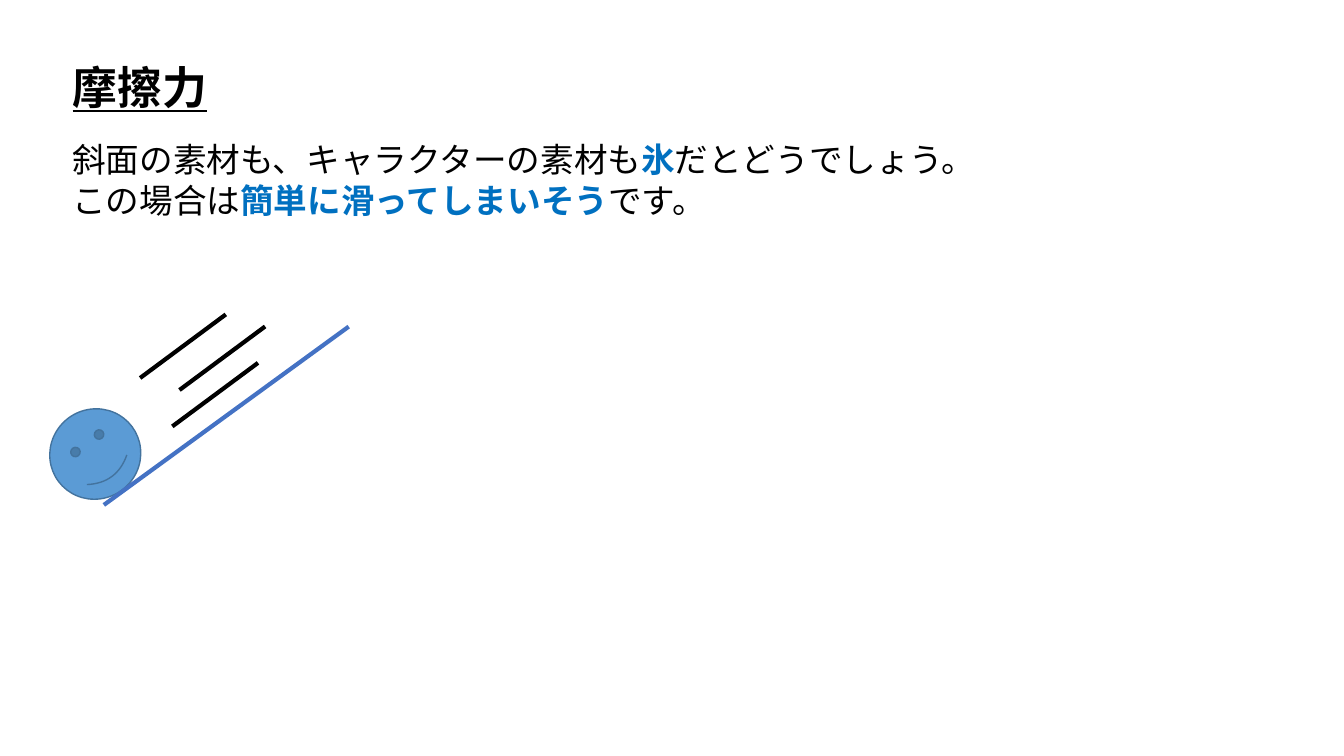
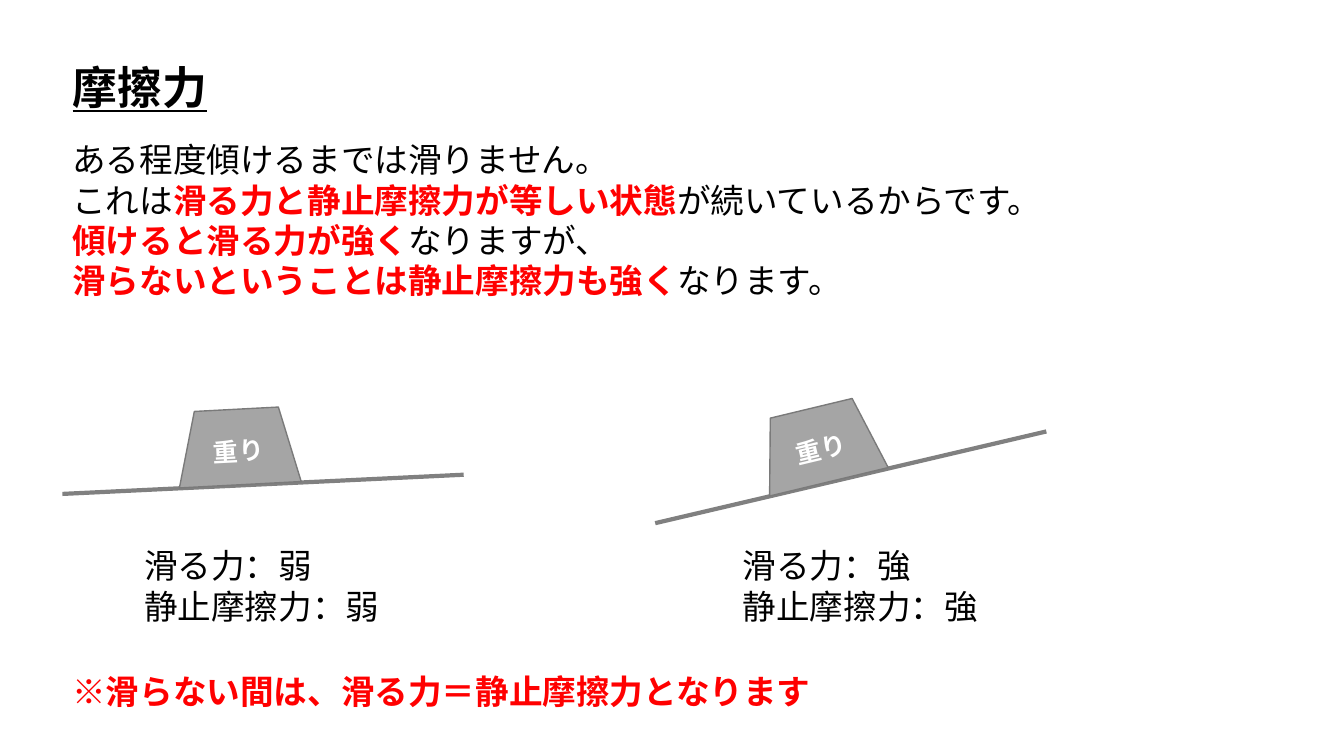
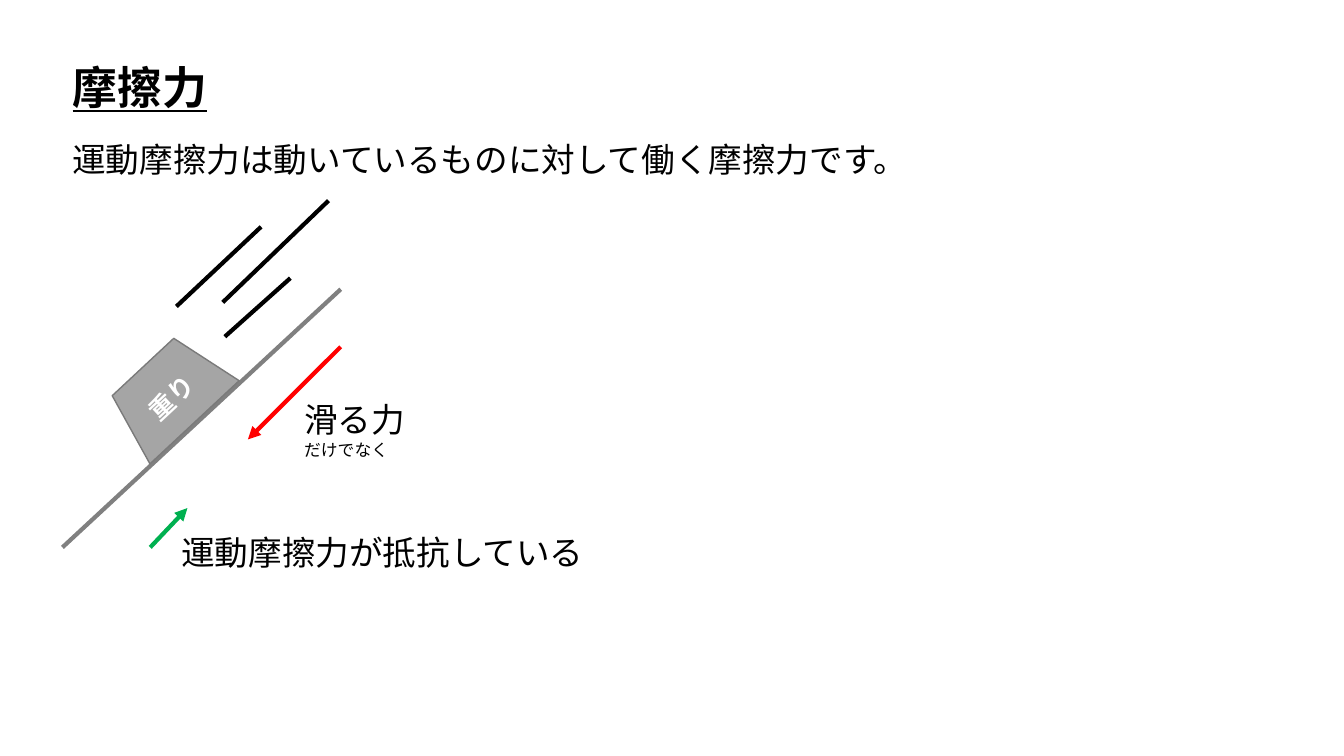
from lxml.etree import SubElement
from pptx import Presentation
from pptx.dml.color import RGBColor
from pptx.enum.shapes import MSO_CONNECTOR, MSO_SHAPE
from pptx.enum.text import MSO_ANCHOR, MSO_AUTO_SIZE, PP_ALIGN
from pptx.oxml.ns import qn
from pptx.util import Pt

FONT = "Noto Sans CJK JP"
BLACK = RGBColor(0x00, 0x00, 0x00)
WHITE = RGBColor(0xFF, 0xFF, 0xFF)
RED = RGBColor(0xFF, 0x00, 0x00)
GREEN = RGBColor(0x00, 0xB0, 0x50)
ICE_TEXT = RGBColor(0x00, 0x70, 0xC0)
ICE_FILL = RGBColor(0x5B, 0x9B, 0xD5)
ICE_EDGE = RGBColor(0x43, 0x73, 0x9E)
ICE_SLOPE = RGBColor(0x44, 0x72, 0xC4)
SLOPE = RGBColor(0x80, 0x80, 0x80)
WEIGHT_FILL = RGBColor(0xA5, 0xA5, 0xA5)
WEIGHT_EDGE = RGBColor(0x7A, 0x7A, 0x7A)

LEFT = 44.6
BODY_TOP = 95.8


def write(box, lines, sizes=(24,), color=BLACK, accent=RED, bold=False,
          align=PP_ALIGN.LEFT, anchor=MSO_ANCHOR.TOP, fit=True):
    frame = box.text_frame
    frame.vertical_anchor = anchor
    if fit:
        frame.word_wrap = False
        frame.auto_size = MSO_AUTO_SIZE.SHAPE_TO_FIT_TEXT
    for index, line in enumerate(lines):
        para = frame.add_paragraph() if index else frame.paragraphs[0]
        para.alignment = align
        para.font.size = Pt(sizes[min(index, len(sizes) - 1)])
        para.font.bold = bold
        para.font.color.rgb = color
        para.font.name = FONT
        SubElement(para._p.pPr.find(qn("a:defRPr")), qn("a:ea"), typeface=FONT)
        for position, part in enumerate(line.split("*")):
            if part:
                span = para.add_run()
                span.text = part
                if position % 2:
                    span.font.bold = True
                    span.font.color.rgb = accent


def draw_line(shapes, start, end, color, arrow=False):
    points = [Pt(value) for value in (*start, *end)]
    line = shapes.add_connector(MSO_CONNECTOR.STRAIGHT, *points)
    line.line.color.rgb = color
    line.line.width = Pt(3)
    if arrow:
        SubElement(line.line._get_or_add_ln(), qn("a:tailEnd"), type="triangle")
    SubElement(line._element.spPr, qn("a:effectLst"))


deck = Presentation()
deck.slide_width = Pt(960)
deck.slide_height = Pt(540)

bodies = [
    (669, 65.5, ICE_TEXT, [
        "斜面の素材も、キャラクターの素材も*氷*だとどうでしょう。",
        "この場合は*簡単に滑ってしまいそう*です。",
    ]),
    (717, 123.8, RED, [
        "ある程度傾けるまでは滑りません。",
        "これは*滑る力と静止摩擦力が等しい状態*が続いているからです。",
        "*傾けると滑る力が強く*なりますが、",
        "*滑らないということは静止摩擦力も強く*なります。",
    ]),
    (621, 36, RED, ["運動摩擦力は動いているものに対して働く摩擦力です。"]),
]
pages = []
for width, height, accent, lines in bodies:
    page = deck.slides.add_slide(deck.slide_layouts[5])
    title = page.shapes.title
    title.left, title.top = Pt(LEFT), Pt(38.9)
    title.width, title.height = Pt(111.6), Pt(46.1)
    write(title, ["摩擦力"], sizes=(32,), bold=True)
    title.text_frame.paragraphs[0].font.underline = True
    body = page.shapes.add_textbox(Pt(LEFT), Pt(BODY_TOP), Pt(width), Pt(height))
    write(body, lines, accent=accent)
    pages.append(page)
ice_page, balance_page, motion_page = pages

ball = ice_page.shapes.add_shape(MSO_SHAPE.SMILEY_FACE, Pt(35.3), Pt(292.3), Pt(65.5), Pt(64.1))
ball.rotation = 323.4
ball.shadow.inherit = False
ball.fill.solid()
ball.fill.fore_color.rgb = ICE_FILL
ball.line.color.rgb = ICE_EDGE
ball.line.width = Pt(1)
draw_line(ice_page.shapes, (74.2, 360.7), (249.1, 233.3), ICE_SLOPE)
for x, y in [(100.1, 270), (128.2, 278.6), (123.1, 304.6)]:
    draw_line(ice_page.shapes, (x, y), (x + 61.2, y - 45.4), BLACK)

weights = [
    (balance_page, (LEFT, 352.8), (331.2, 339.1), (126.7, 292.3), 357),
    (balance_page, (468, 373.7), (747.4, 308.2), (542.2, 290.9), 346.5),
    (motion_page, (LEFT, 391), (243.4, 206.6), (77, 254.9), 317),
]
for page, start, end, (left, top), angle in weights:
    group = page.shapes.add_group_shape()
    draw_line(group.shapes, start, end, SLOPE)
    weight = group.shapes.add_shape(MSO_SHAPE.TRAPEZOID, Pt(left), Pt(top), Pt(87.1), Pt(54))
    weight.rotation = angle
    weight.shadow.inherit = False
    weight.fill.solid()
    weight.fill.fore_color.rgb = WEIGHT_FILL
    weight.line.color.rgb = WEIGHT_EDGE
    weight.line.width = Pt(1)
    write(weight, ["重り"], sizes=(18,), color=WHITE, bold=True,
          align=PP_ALIGN.CENTER, anchor=MSO_ANCHOR.MIDDLE, fit=False)

for left, strength in [(95.8, "弱"), (523.4, "強")]:
    label = balance_page.shapes.add_textbox(Pt(left), Pt(385.9), Pt(184.3), Pt(65.5))
    write(label, [f"滑る力：{strength}", f"静止摩擦力：{strength}"])
note = balance_page.shapes.add_textbox(Pt(LEFT), Pt(475.9), Pt(548), Pt(36))
write(note, ["※滑らない間は、滑る力＝静止摩擦力となります"], color=RED, bold=True)

speed_lines = [
    ((126, 218.9), (186.5, 162)),
    ((159.1, 216), (234.7, 143.3)),
    ((160.6, 240.5), (207.4, 198.7)),
]
for start, end in speed_lines:
    draw_line(motion_page.shapes, start, end, BLACK)
draw_line(motion_page.shapes, (243.4, 247.7), (177.1, 313.9), RED, arrow=True)
sliding = motion_page.shapes.add_textbox(Pt(210.2), Pt(281.5), Pt(87.1), Pt(51.1))
write(sliding, ["滑る力", "だけでなく"], sizes=(24, 12))
draw_line(motion_page.shapes, (107.3, 391), (133.9, 362.9), GREEN, arrow=True)
friction = motion_page.shapes.add_textbox(Pt(122.4), Pt(376.6), Pt(305.3), Pt(36))
write(friction, ["運動摩擦力が抵抗している"])

deck.save("out.pptx")
